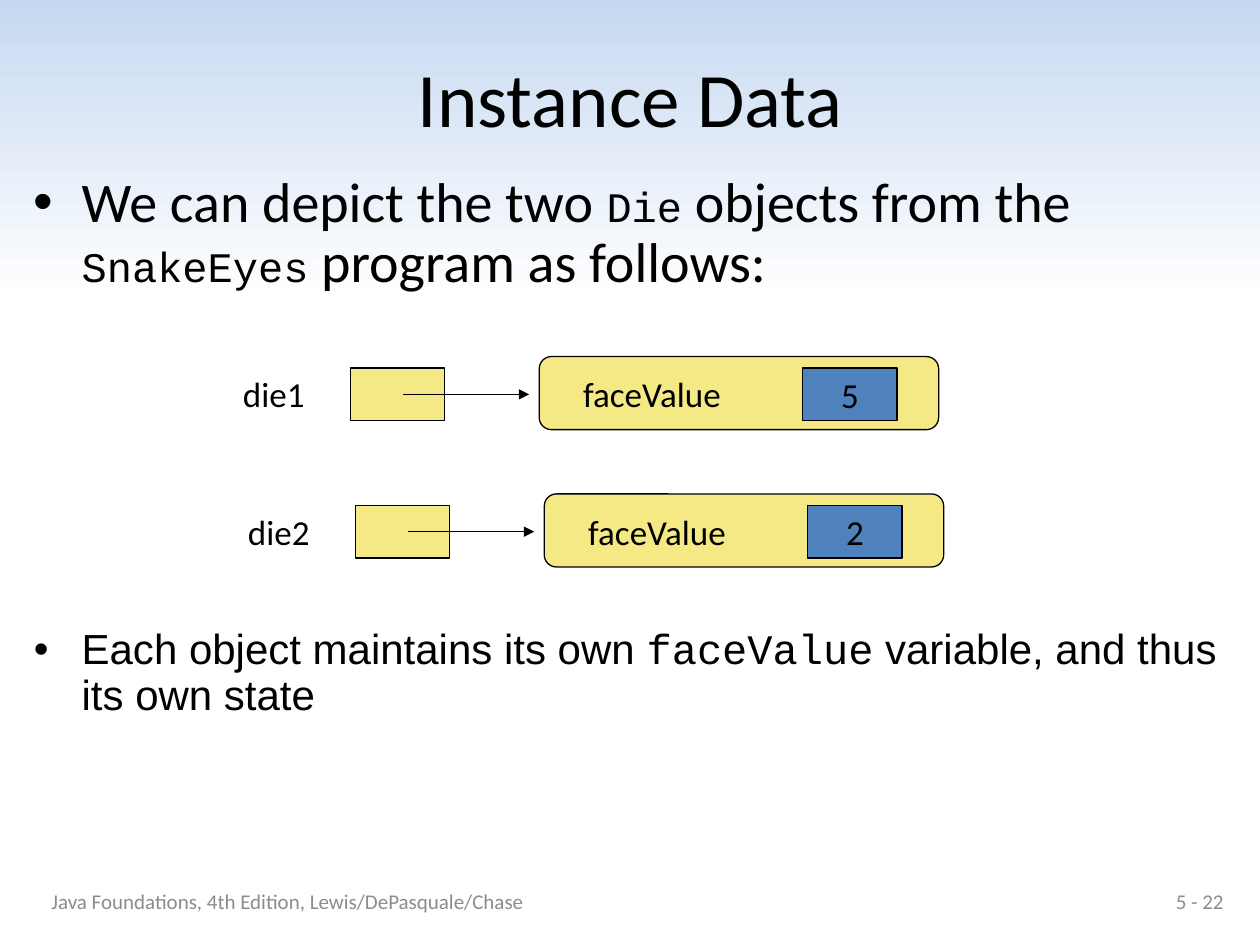
from pptx import Presentation
from pptx.dml.color import RGBColor
from pptx.enum.shapes import MSO_CONNECTOR, MSO_SHAPE
from pptx.enum.text import MSO_ANCHOR, PP_ALIGN
from pptx.oxml.ns import qn
from pptx.util import Inches, Pt
from lxml import etree

RECT, ROUNDED = MSO_SHAPE.RECTANGLE, MSO_SHAPE.ROUNDED_RECTANGLE
STRAIGHT = MSO_CONNECTOR.STRAIGHT
TOP, MIDDLE = MSO_ANCHOR.TOP, MSO_ANCHOR.MIDDLE
LEFT, CENTER, RIGHT = PP_ALIGN.LEFT, PP_ALIGN.CENTER, PP_ALIGN.RIGHT

BLACK, GRAY = "000000", "8C8C8C"
YELLOW, BLUE = "F5E985", "4F81BD"
WHITE, PALE_BLUE = "FFFFFF", "C6D9F1"
SANS, ARIAL, MONO = "Calibri", "Arial", "Courier New"


def rgb(hex_color):
    return RGBColor.from_string(hex_color)


def style_font(font, size, name=SANS, color=BLACK):
    font.size = Pt(size)
    font.name = name
    font.color.rgb = rgb(color)


def add_background(slide):
    fill = slide.background.fill
    fill.gradient()
    fill.gradient_angle = 90
    stops = ((0.68, WHITE), (1, PALE_BLUE))
    for stop, (position, color) in zip(fill.gradient_stops, stops):
        stop.position = position
        stop.color.rgb = rgb(color)


def add_label(slide, box, text, size, color=BLACK, align=LEFT, anchor=TOP):
    frame = slide.shapes.add_textbox(*map(Inches, box)).text_frame
    frame.word_wrap = True
    frame.vertical_anchor = anchor
    line = frame.paragraphs[0]
    line.text = text
    line.alignment = align
    style_font(line.font, size, color=color)


def add_bullet(slide, box, pieces):
    """Place one bulleted paragraph; pieces are (text, size, font name)."""
    frame = slide.shapes.add_textbox(*map(Inches, box)).text_frame
    frame.word_wrap = True
    bullet = frame.paragraphs[0]
    bullet.line_spacing = 0.9
    for text, size, name in pieces:
        run = bullet.add_run()
        run.text = text
        style_font(run.font, size, name)
    properties = bullet._p.get_or_add_pPr()
    properties.set("marL", str(Inches(0.38)))
    properties.set("indent", str(-Inches(0.38)))
    etree.SubElement(properties, qn("a:buFont"), typeface=ARIAL)
    etree.SubElement(properties, qn("a:buChar"), char="•")


def add_box(slide, kind, box, color):
    shape = slide.shapes.add_shape(kind, *map(Inches, box))
    shape.shadow.inherit = False
    shape.fill.solid()
    shape.fill.fore_color.rgb = rgb(color)
    shape.line.color.rgb = rgb(BLACK)
    shape.line.width = Pt(0.75)
    return shape


def add_arrow(slide, left, right, y):
    arrow = slide.shapes.add_connector(
        STRAIGHT, Inches(left), Inches(y), Inches(right), Inches(y))
    arrow.line.color.rgb = rgb(BLACK)
    arrow.line.width = Pt(0.75)
    etree.SubElement(arrow.line._get_or_add_ln(), qn("a:tailEnd"), type="triangle")
    etree.SubElement(arrow._element.spPr, qn("a:effectLst"))


def add_die(slide, left, top, variable, face_value):
    """Draw a variable, its reference and the Die object it points to."""
    cell_top, label_top = top + 0.09, top + 0.08
    add_box(slide, RECT, (left + 0.95, cell_top, 0.75, 0.42), YELLOW)
    add_label(slide, (left, label_top, 0.87, 0.43), variable, 20)
    add_box(slide, ROUNDED, (left + 2.45, top, 3.17, 0.58), YELLOW)
    add_arrow(slide, left + 1.37, left + 2.37, top + 0.3)
    add_label(slide, (left + 2.7, label_top, 1.7, 0.43), "faceValue", 20)

    value_cell = add_box(slide, RECT, (left + 4.54, cell_top, 0.75, 0.42), BLUE)
    value_cell.text_frame.vertical_anchor = MIDDLE
    value = value_cell.text_frame.paragraphs[0]
    value.text = face_value
    value.alignment = CENTER
    style_font(value.font, 20)


def add_footer(slide, left, top, width, height):
    page_width = 2.33
    source_width = width - page_width
    add_label(slide, (left, top, source_width, height),
              "Java Foundations, 4th Edition, Lewis/DePasquale/Chase",
              12, GRAY, anchor=MIDDLE)
    add_label(slide, (left + source_width, top, page_width, height),
              "5 - 22", 12, GRAY, RIGHT, MIDDLE)


def main():
    deck = Presentation()
    deck.slide_width, deck.slide_height = Inches(10), Inches(7.5)
    slide = deck.slides.add_slide(deck.slide_layouts[6])

    add_background(slide)
    add_label(slide, (0.19, 0.3, 9.63, 0.94), "Instance Data", 44,
              align=CENTER, anchor=MIDDLE)
    add_bullet(slide, (0.17, 1.33, 9.6, 1.1), (
        ("We can depict the two ", 32, SANS),
        ("Die", 24, MONO),
        (" objects from the ", 32, SANS),
        ("SnakeEyes", 24, MONO),
        (" program as follows:", 32, SANS),
    ))
    add_die(slide, 1.83, 2.83, "die1", "5")
    add_die(slide, 1.87, 3.92, "die2", "2")
    add_bullet(slide, (0.17, 4.94, 9.6, 0.8), (
        ("Each object maintains its own ", 24, ARIAL),
        ("faceValue", 24, MONO),
        (" variable, and thus its own state", 24, ARIAL),
    ))
    add_footer(slide, 0.31, 6.95, 9.5, 0.4)
    deck.save("out.pptx")


if __name__ == "__main__":
    main()
